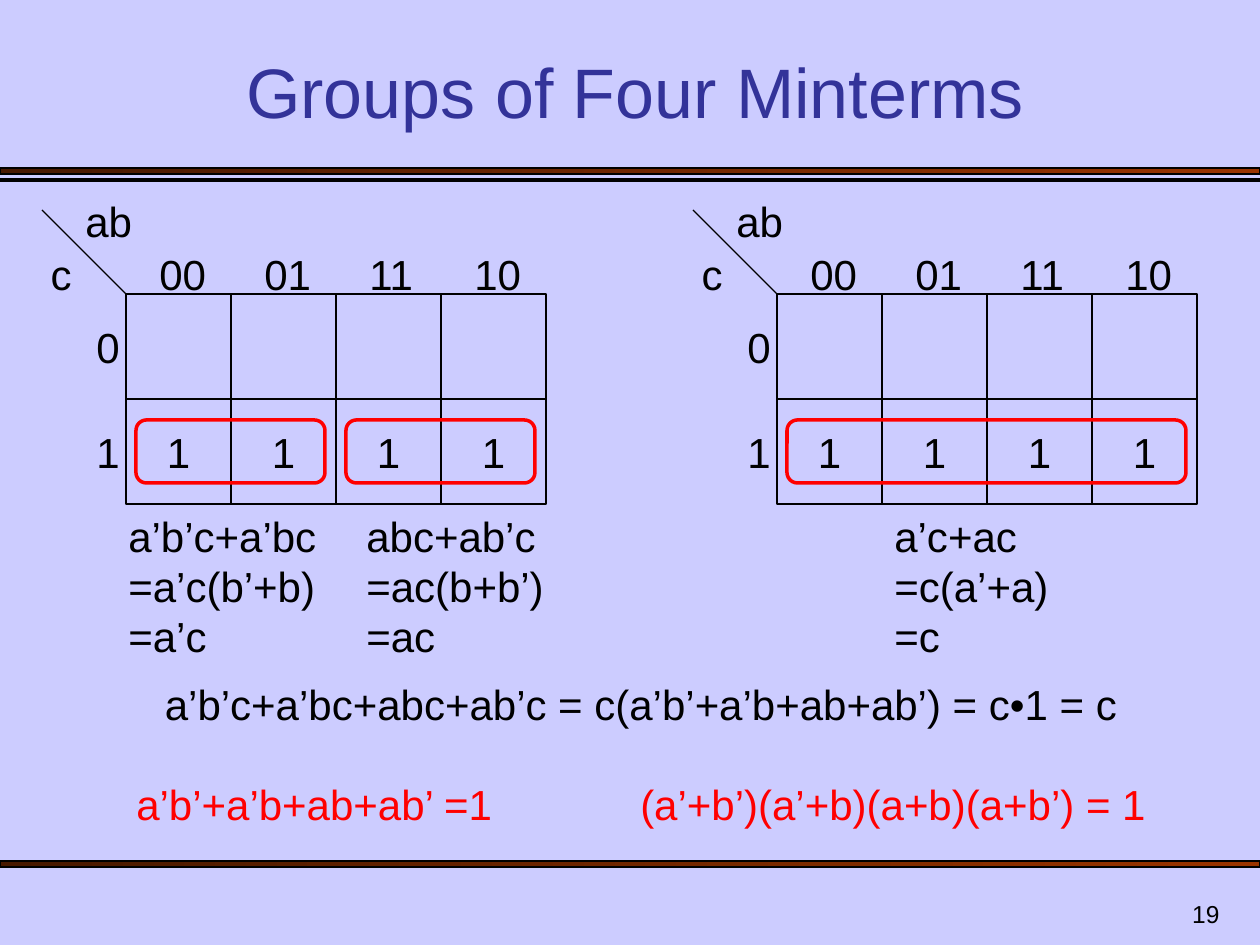
from lxml.etree import SubElement
from pptx import Presentation
from pptx.dml.color import RGBColor
from pptx.enum.shapes import MSO_CONNECTOR, MSO_SHAPE
from pptx.enum.text import MSO_ANCHOR, MSO_AUTO_SIZE, PP_ALIGN
from pptx.oxml.ns import qn
from pptx.util import Emu, Inches, Pt

SCALE = 914400 / 126  # EMU per px
CELL = 105
GRID_TOP = 294
LABEL_HEIGHT = 63
COLUMNS = ["00", "01", "11", "10"]
ROWS = ["0", "1"]
BLACK, RED, NAVY = "000000", "FF0000", "333399"


def px(length):
    return Emu(round(length * SCALE))


def color(value):
    return RGBColor.from_string(value)


def assign(target, values):
    for name, value in values.items():
        setattr(target, name, value)


class Painter:
    font = "Arial"
    size = 24
    leading = 1.2

    def __init__(self, page):
        self.page = page

    def outline(self, shape, line, width):
        shape.line.color.rgb = color(line)
        shape.line.width = Pt(width)

    def shape(self, kind, left, top, width, height, line=BLACK, weight=0.75):
        shape = self.page.shapes.add_shape(kind, px(left), px(top), px(width), px(height))
        shape.shadow.inherit = False
        shape.fill.background()
        self.outline(shape, line, weight)
        return shape

    def bar(self, top, height):
        bar = self.shape(MSO_SHAPE.RECTANGLE, 0, top, 1260, height)
        bar.fill.gradient()
        bar.fill.gradient_angle = 0
        for stop, value in zip(bar.fill.gradient_stops, ["471800", "993300"]):
            stop.color.rgb = color(value)

    def line(self, left, top, right, bottom):
        line = self.page.shapes.add_connector(
            MSO_CONNECTOR.STRAIGHT, px(left), px(top), px(right), px(bottom))
        SubElement(line._element.spPr, qn("a:effectLst"))
        self.outline(line, BLACK, 0.75)

    def text(self, left, top, width, height, lines, align=PP_ALIGN.LEFT, size=size,
             ink=BLACK, **frame):
        box = self.page.shapes.add_textbox(px(left), px(top), px(width), px(height))
        assign(box.text_frame, {"word_wrap": True, "auto_size": MSO_AUTO_SIZE.NONE, **frame})
        for index, line in enumerate(lines):
            para = box.text_frame.paragraphs[0] if index == 0 else box.text_frame.add_paragraph()
            assign(para, {"alignment": align, "line_spacing": Pt(size * self.leading)})
            span = para.add_run()
            span.text = line
            assign(span.font, {"name": self.font, "size": Pt(size)})
            span.font.color.rgb = color(ink)
        return box

    def tabs(self, para, stops):
        tab_list = SubElement(para._p.get_or_add_pPr(), qn("a:tabLst"))
        for stop in stops:
            SubElement(tab_list, qn("a:tab"), pos=str(Inches(stop)), algn="l")

    def karnaugh_map(self, left, groups):
        # Axis names and diagonal
        self.text(left - 53, 189, 84, LABEL_HEIGHT, ["ab"])
        self.text(left - 105, 242, 63, LABEL_HEIGHT, ["c"], PP_ALIGN.RIGHT)
        self.line(left - 84, GRID_TOP - 84, left, GRID_TOP)

        # Cells with row and column labels
        for row, row_label in enumerate(ROWS):
            top = GRID_TOP + row * CELL
            self.text(left - 42, top + 21, 54, LABEL_HEIGHT, [row_label])
            for column in range(len(COLUMNS)):
                self.shape(MSO_SHAPE.RECTANGLE, left + column * CELL, top, CELL, CELL)
        for column, column_label in enumerate(COLUMNS):
            x = left + column * CELL
            self.text(x + 21, 242, 76, LABEL_HEIGHT, [column_label])
            self.text(x, 420, CELL, LABEL_HEIGHT, ["1"], PP_ALIGN.CENTER)

        # Minterm groups: first column and number of columns
        for first, count in groups:
            self.shape(MSO_SHAPE.ROUNDED_RECTANGLE, left + first * CELL + 10, 420,
                       count * CELL - 21, LABEL_HEIGHT, RED, 2)


def main():
    deck = Presentation()
    assign(deck, {"slide_width": px(1260), "slide_height": px(945)})
    page = deck.slides.add_slide(deck.slide_layouts[6])
    page.background.fill.solid()
    page.background.fill.fore_color.rgb = color("CCCCFF")
    painter = Painter(page)

    # Frame: bars, page number, title
    for top, height in [(168, 6), (179, 2), (861, 6)]:
        painter.bar(top, height)
    painter.text(970, 882, 262, 53, ["19"], PP_ALIGN.RIGHT, 14,
                 vertical_anchor=MSO_ANCHOR.BOTTOM)
    painter.text(73, 53, 1124, 86, ["Groups of Four Minterms"], PP_ALIGN.CENTER, 40, NAVY,
                 vertical_anchor=MSO_ANCHOR.BOTTOM)

    # Maps: two pairs, then one group of four
    painter.karnaugh_map(126, [(0, 2), (2, 2)])
    painter.karnaugh_map(777, [(0, 4)])

    # Simplification under each group
    for left, width, steps in [
        (116, 213, ["a’b’c+a’bc", "=a’c(b’+b)", "=a’c"]),
        (354, 203, ["abc+ab’c", "=ac(b+b’)", "=ac"]),
        (882, 179, ["a’c+ac", "=c(a’+a)", "=c"]),
    ]:
        painter.text(left, 504, width, 164, steps, word_wrap=False)

    # Conclusion and identities
    conclusion = painter.text(95, 672, 1092, 164, [
        "a’b’c+a’bc+abc+ab’c = c(a’b’+a’b+ab+ab’) = c•1 = c",
        "a’b’+a’b+ab+ab’ =1\t\t(a’+b’)(a’+b)(a+b)(a+b’) = 1",
    ], PP_ALIGN.CENTER)
    identities = conclusion.text_frame.paragraphs[1]
    painter.tabs(identities, [3, 4])
    identities.space_before = Pt(28.8)
    identities.runs[0].font.color.rgb = color(RED)

    deck.save("out.pptx")


if __name__ == "__main__":
    main()
